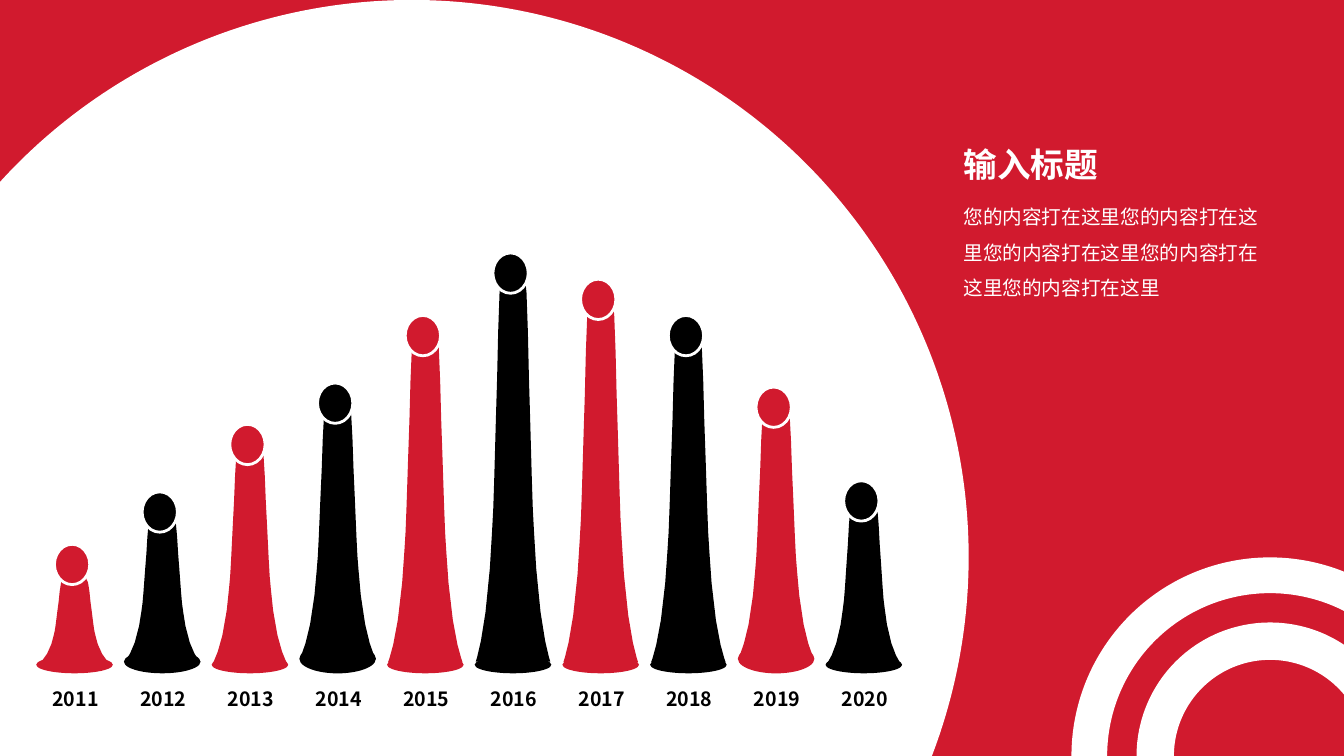
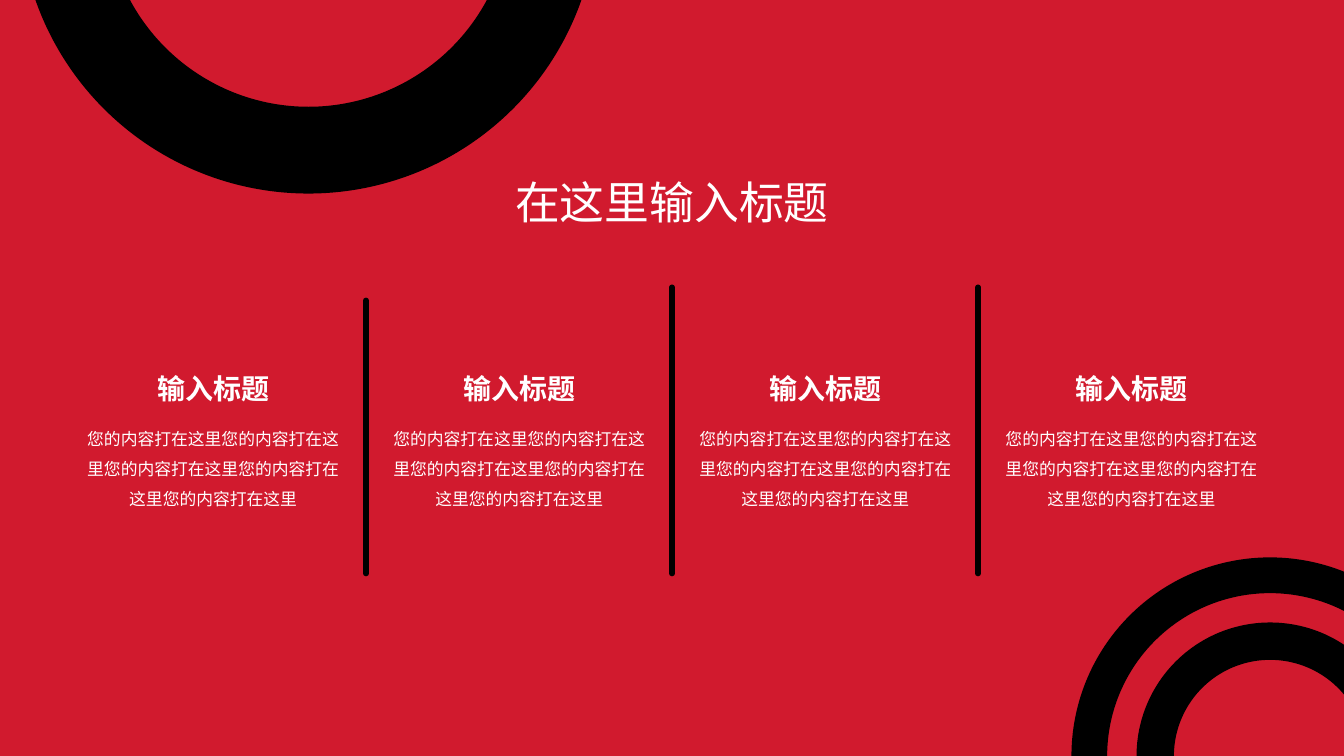
"""Build a year-by-year horn chart slide and a four-column text slide on a 160 x 90 grid."""
from dataclasses import dataclass

from lxml.etree import SubElement
from pptx import Presentation
from pptx.dml.color import RGBColor
from pptx.enum.shapes import MSO_CONNECTOR as Connector, MSO_SHAPE as Preset
from pptx.enum.text import MSO_ANCHOR as Anchor, PP_ALIGN as Align
from pptx.oxml.ns import qn
from pptx.util import Emu, Pt


@dataclass(frozen=True)
class Theme:
    red: RGBColor = RGBColor(0xD1, 0x1A, 0x2E)
    black: RGBColor = RGBColor(0, 0, 0)
    white: RGBColor = RGBColor(255, 255, 255)
    face: str = "Noto Sans CJK SC"
    headline: int = 32
    lead: int = 24
    heading: int = 20
    body: int = 14
    small: int = 12


theme = Theme()
COLUMNS, ROWS = 160, 90
CELL = 76200
HEADING = "输入标题"
BODY = "您的内容打在这里" * 5


def draw(shapes, outline, box, colour):
    """Draw a preset in a grid box, or a closed polygon when outline is a list of points."""
    if isinstance(outline, list):
        start, *rest = [(x * CELL, y * CELL) for x, y in outline]
        pen = shapes.build_freeform(*start, scale=1.0)
        pen.add_line_segments(rest, close=True)
        shape = pen.convert_to_shape()
    else:
        shape = shapes.add_shape(outline, *(Emu(round(n * CELL)) for n in box))
    shape.shadow.inherit = False
    shape.fill.solid()
    shape.fill.fore_color.rgb = colour
    shape.line.fill.background()
    return shape


def write(slide, text, box, size, colour=theme.white, bold=False, wrap=True,
          anchor=Anchor.TOP, **layout):
    """Write one paragraph in a grid box."""
    frame = slide.shapes.add_textbox(*(Emu(round(n * CELL)) for n in box)).text_frame
    frame.word_wrap, frame.vertical_anchor = wrap, anchor
    paragraph = frame.paragraphs[0]
    run = paragraph.add_run()
    run.text = text
    run.font.color.rgb = colour
    for target, values in ((paragraph, layout),
                           (run.font, {"name": theme.face, "size": Pt(size), "bold": bold})):
        for name, value in values.items():
            setattr(target, name, value)
    SubElement(run.font._element, qn("a:ea"), typeface=theme.face)


deck = Presentation()
deck.slide_width, deck.slide_height = COLUMNS * CELL, ROWS * CELL
backdrop = deck.slide_master.background.fill
backdrop.solid()
backdrop.fore_color.rgb = theme.red
chart_slide, columns_slide = (deck.slides.add_slide(deck.slide_layouts[6]) for _ in range(2))

draw(chart_slide.shapes, Preset.OVAL, (-17.28, 0, 132.6, 132.6), theme.white)
write(chart_slide, BODY, (113.52, 22.44, 39.36, 12.24), theme.body, line_spacing=1.5)
write(chart_slide, HEADING, (113.52, 16.56, 39.36, 5.88), theme.lead, bold=True,
      anchor=Anchor.MIDDLE)

curves = [
    ((0.12, 0.99), (0.12, 0.99), (1.2, 0.93), (1.8, 0.76)),
    ((1.8, 0.76), (2.28, 0.59), (2.16, 0.66), (2.52, 0.39)),
    ((2.52, 0.39), (2.76, 0.27), (2.76, 0.06), (3.24, 0.02)),
]
STEPS = 4
profile = [
    tuple((1 - t) ** 3 * a + 3 * (1 - t) ** 2 * t * b + 3 * (1 - t) * t ** 2 * c + t ** 3 * d
          for a, b, c, d in zip(*curve))
    for curve in curves for t in (step / STEPS for step in range(STEPS))
] + [curves[-1][-1]]

horns = [
    (2011, 64.8, 68.52, 2.04),
    (2012, 58.56, 60.72, 2.76),
    (2013, 50.52, 51.84, 2.04),
    (2014, 45.6, 46.68, 3.48),
    (2015, 37.56, 38.28, 2.04),
    (2016, 30.12, 31.08, 2.04),
    (2017, 33.24, 33.96, 2.04),
    (2018, 37.56, 38.28, 2.04),
    (2019, 46.08, 46.8, 3.48),
    (2020, 57.24, 58.92, 2.04),
]
HORN_LEFT, HORN_PITCH, HORN_WIDTH, FLOOR = 4.32, 10.44, 9.12, 80.16
silhouette = profile + [(HORN_WIDTH - x, y) for x, y in reversed(profile)]
for index, (year, head_top, stem_top, foot_height) in enumerate(horns):
    left = HORN_LEFT + index * HORN_PITCH
    colour = theme.black if index % 2 else theme.red
    write(chart_slide, str(year), (left, 81.24, 9.36, 4.68), theme.body, theme.black,
          bold=True, wrap=False, alignment=Align.CENTER)
    draw(chart_slide.shapes, Preset.OVAL,
         (left, FLOOR - foot_height, HORN_WIDTH, foot_height), colour)
    stem_height = FLOOR - foot_height / 2 + 0.12 - stem_top
    stem = [(left + x, stem_top + y * stem_height) for x, y in silhouette]
    draw(chart_slide.shapes, stem, None, colour)
    head = draw(chart_slide.shapes, Preset.OVAL, (left + 2.16, head_top, 4.2, 4.8), colour)
    head.line.color.rgb = theme.white
    head.line.width = Pt(2)

TEXT_LEFT, TEXT_PITCH, TEXT_WIDTH = 8.88, 36.44, 33
for index in range(4):
    left = TEXT_LEFT + index * TEXT_PITCH
    write(columns_slide, BODY, (left, 49.2, TEXT_WIDTH, 12.24), theme.small,
          alignment=Align.CENTER, line_spacing=1.5)
    write(columns_slide, HEADING, (left, 43.32, TEXT_WIDTH, 5.88), theme.heading, bold=True,
          anchor=Anchor.MIDDLE, alignment=Align.CENTER)

for offset, top in ((-1, 35.76), (0, 34.2), (1, 34.2)):
    x = COLUMNS / 2 + offset * TEXT_PITCH
    divider = columns_slide.shapes.add_connector(
        Connector.STRAIGHT, *(Emu(round(n * CELL)) for n in (x, top, x, 68.28)))
    divider.line.color.rgb = theme.black
    divider.line.width = Pt(4)
    divider.line._get_or_add_ln().set("cap", "rnd")
    SubElement(divider._element.spPr, qn("a:effectLst"))

write(columns_slide, "在这里输入标题", (30, 17.16, 100, 13.68), theme.headline,
      anchor=Anchor.MIDDLE, alignment=Align.CENTER)

corner = [(151.2, ROWS, 47.28, 0.09), (151.2, ROWS, 31.8, 0.14)]
for slide, colour, rings in (
        (chart_slide, theme.white, corner),
        (columns_slide, theme.black, [(36.72, -11.4, 68.88, 0.15), *corner])):
    for centre_x, centre_y, size, thickness in rings:
        ring = draw(slide.shapes, Preset.DONUT,
                    (centre_x - size / 2, centre_y - size / 2, size, size), colour)
        ring.adjustments[0] = thickness

deck.save("out.pptx")
